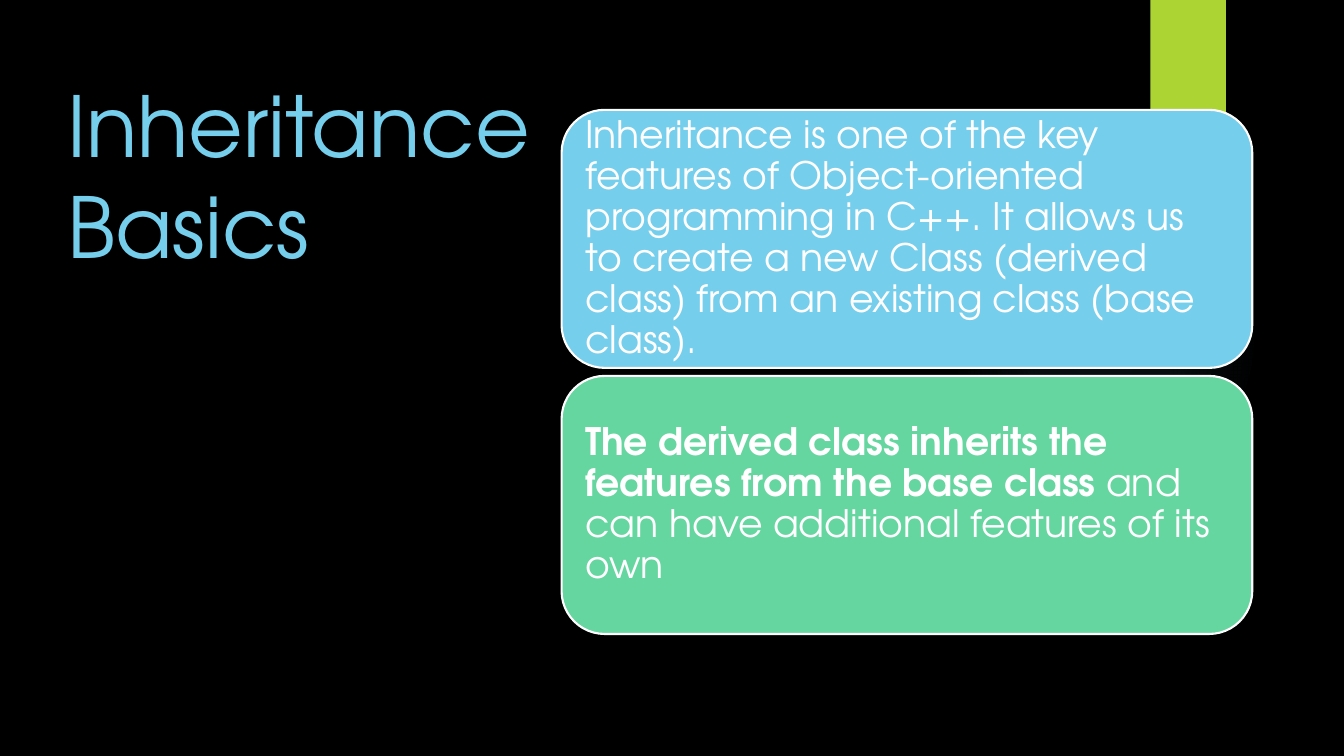
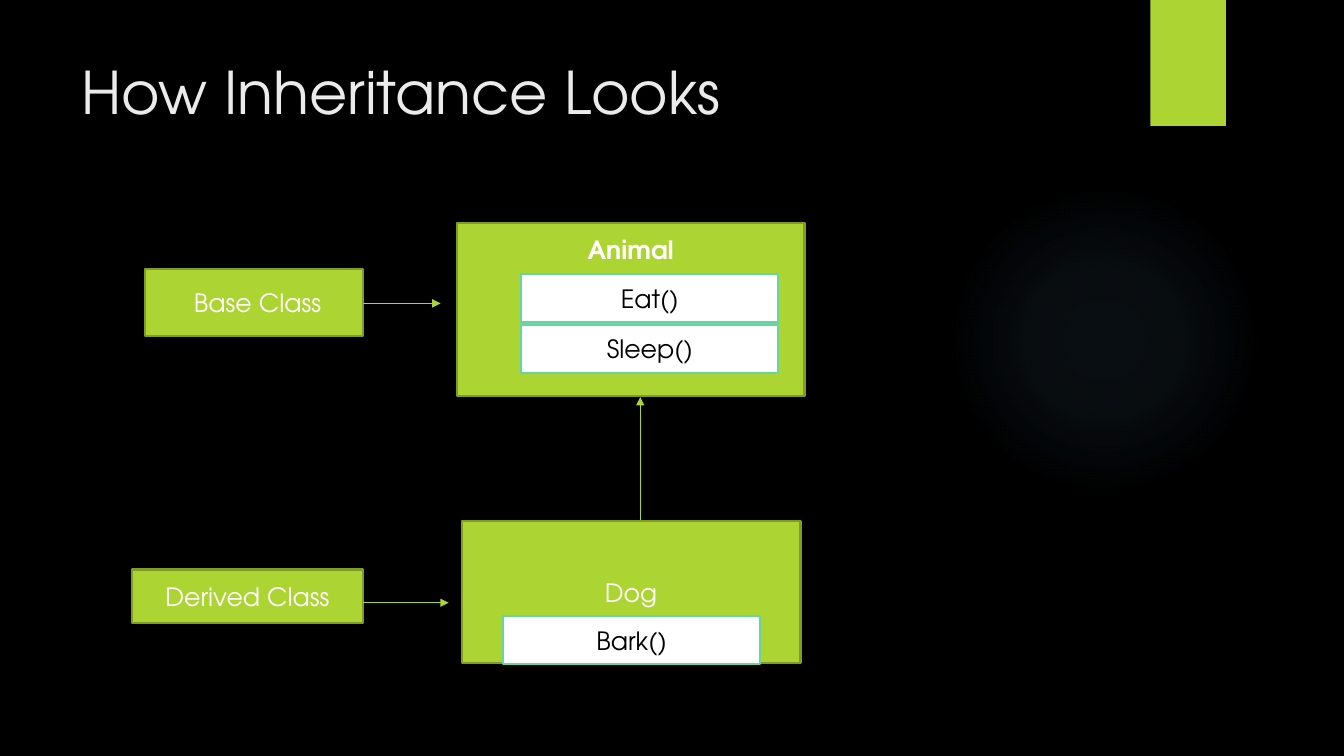
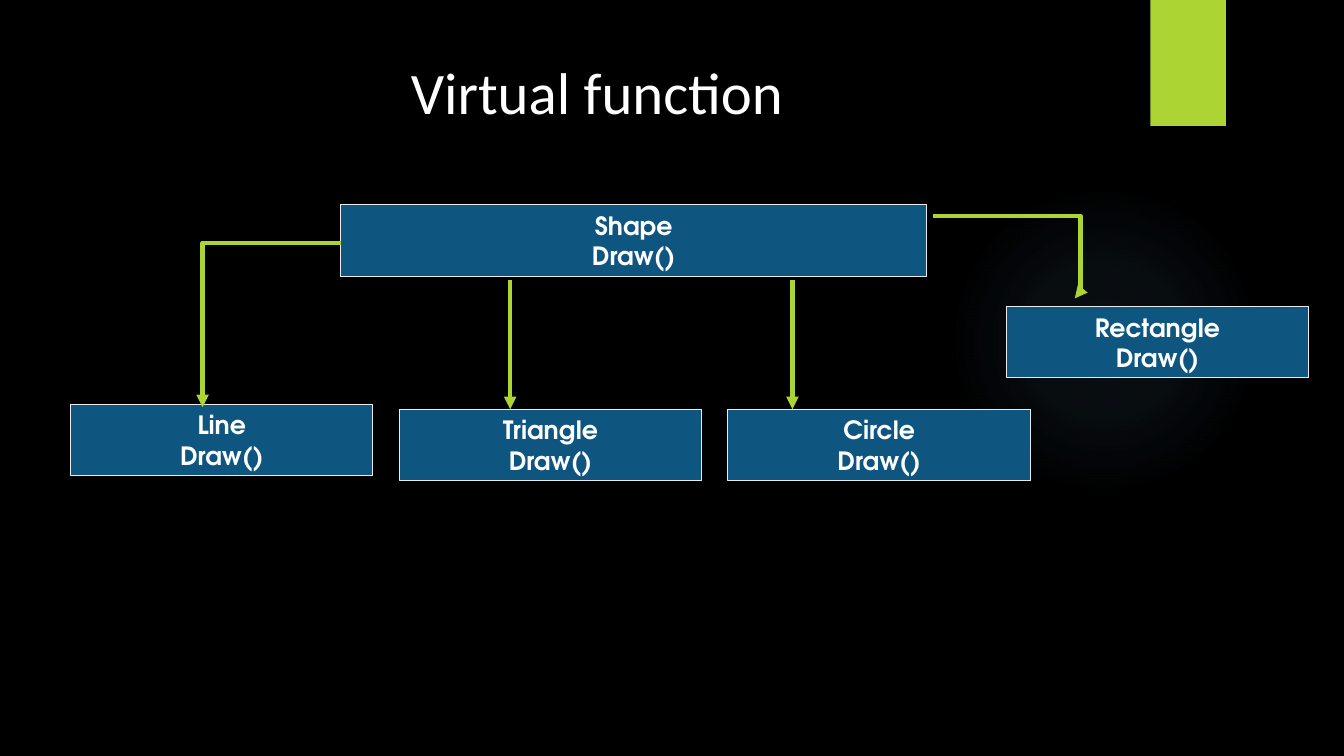
from lxml.etree import SubElement
from pptx import Presentation
from pptx.dml.color import RGBColor
from pptx.enum.shapes import MSO_CONNECTOR, MSO_SHAPE
from pptx.enum.text import MSO_ANCHOR, PP_ALIGN
from pptx.oxml import parse_xml
from pptx.oxml.ns import nsdecls, qn
from pptx.util import Inches, Pt

FONT = "TeX Gyre Adventor"
BLACK, WHITE, SILVER = "000000", "FFFFFF", "EBEBEB"
LIME, OLIVE = "ACD433", "7F9D26"
SKY, MINT, NAVY, GLOW = "75CEEC", "65D6A0", "0E5580", "7AC4F0"


def color(value):
    return RGBColor.from_string(value)


class Deck:
    """Holds the shared style and the current slide."""

    def __init__(self):
        self.presentation = Presentation()
        self.presentation.slide_width = Inches(13.33)
        self.presentation.slide_height = Inches(7.5)
        self.slide = None

    def new_slide(self):
        layout = self.presentation.slide_layouts[6]
        self.slide = self.presentation.slides.add_slide(layout)
        background = self.slide.background.fill
        background.solid()
        background.fore_color.rgb = color(BLACK)
        self.glow(9.41, 1.83, 3.08)
        self.shape(11.41, 0, 0.75, 1.25, LIME)

    def glow(self, left, top, size):
        shape = self.shape(left, top, size, size, GLOW, kind=MSO_SHAPE.OVAL)
        stops = "".join(
            f'<a:gs pos="{position}000"><a:srgbClr val="{GLOW}">'
            f'<a:alpha val="{alpha}000"/></a:srgbClr></a:gs>'
            for position, alpha in ((0, 7), (36, 6), (69, 0)))
        gradient = parse_xml(
            f'<a:gradFill {nsdecls("a")}><a:gsLst>{stops}</a:gsLst>'
            '<a:path path="circle"><a:fillToRect l="50000" t="50000" '
            'r="50000" b="50000"/></a:path></a:gradFill>')
        properties = shape._element.spPr
        properties.replace(properties.find(qn("a:solidFill")), gradient)

    def shape(self, left, top, width, height, fill, line=None, line_width=1.5,
              kind=MSO_SHAPE.RECTANGLE):
        shape = self.slide.shapes.add_shape(
            kind, Inches(left), Inches(top), Inches(width), Inches(height))
        shape.shadow.inherit = False
        shape.fill.solid()
        shape.fill.fore_color.rgb = color(fill)
        if line:
            shape.line.color.rgb = color(line)
            shape.line.width = Pt(line_width)
        else:
            shape.line.fill.background()
        return shape

    def style(self, paragraph, size, text_color, font=FONT,
              align=PP_ALIGN.CENTER):
        paragraph.alignment = align
        paragraph.font.name = font
        paragraph.font.size = Pt(size)
        paragraph.font.color.rgb = color(text_color)

    def title(self, text, left, top, width, height, size, text_color,
              font=FONT, align=PP_ALIGN.LEFT):
        box = self.slide.shapes.add_textbox(
            Inches(left), Inches(top), Inches(width), Inches(height))
        box.text_frame.word_wrap = True
        box.text_frame.text = text
        self.style(box.text_frame.paragraphs[0], size, text_color, font, align)

    def card(self, top, fill, runs):
        """Rounded panel; runs are (text, bold) pairs."""
        shape = self.shape(5.57, top, 6.85, 2.56, fill, WHITE,
                           kind=MSO_SHAPE.ROUNDED_RECTANGLE)
        frame = shape.text_frame
        frame.margin_left = frame.margin_right = Inches(0.11)
        frame.margin_top = frame.margin_bottom = Inches(0.11)
        paragraph = frame.paragraphs[0]
        paragraph.line_spacing = 0.9
        self.style(paragraph, 27, WHITE, align=PP_ALIGN.LEFT)
        for text, bold in runs:
            run = paragraph.add_run()
            run.text = text
            run.font.bold = bold

    def box(self, text, left, top, width, height, fill=LIME, line=OLIVE,
            text_color=WHITE, bold=False, line_width=1.5):
        shape = self.shape(left, top, width, height, fill, line, line_width)
        shape.text_frame.text = text
        for paragraph in shape.text_frame.paragraphs:
            self.style(paragraph, 18, text_color)
            paragraph.font.bold = bold
        return shape

    def method(self, text, left, top):
        self.box(text, left, top, 2.55, 0.48, WHITE, MINT, BLACK)

    def drawable(self, name, left, top, width=3):
        self.box(f"{name}\nDraw()", left, top, width, 0.71, NAVY, SILVER,
                 bold=True, line_width=0.75)

    def arrow(self, start, end, width, kind=MSO_CONNECTOR.STRAIGHT):
        connector = self.slide.shapes.add_connector(
            kind, *(Inches(value) for value in (*start, *end)))
        connector.line.color.rgb = color(LIME)
        connector.line.width = Pt(width)
        properties = connector._element.spPr
        SubElement(properties.find(qn("a:ln")), qn("a:tailEnd"),
                   type="triangle")
        SubElement(properties, qn("a:effectLst"))
        return properties.find(qn("a:prstGeom"))

    def elbow(self, start, end, bend=None):
        """One corner, or two with the bend at a share of the width."""
        geometry = self.arrow(start, end, 3, MSO_CONNECTOR.ELBOW)
        if bend is None:
            geometry.set("prst", "bentConnector2")
        else:
            SubElement(geometry.find(qn("a:avLst")), qn("a:gd"), name="adj1",
                       fmla=f"val {round(bend * 100000)}")


def basics(deck):
    deck.new_slide()
    deck.title("Inheritance Basics", 0.57, 0.68, 5, 6.02, 60, SKY)
    deck.card(1.09, SKY, [(
        "Inheritance is one of the key features of Object-oriented "
        "programming in C++. It allows us to create a new Class (derived "
        "class) from an existing class (base class).", False)])
    deck.card(3.73, MINT, [
        ("The derived class inherits the features from the base class", True),
        (" and can have additional features of its own", False)])


def looks(deck):
    deck.new_slide()
    deck.title("How Inheritance Looks", 0.71, 0.5, 10.29, 1.53, 42, SILVER)
    # Base class
    animal = deck.box("Animal", 4.53, 2.21, 3.45, 1.72, bold=True)
    animal.text_frame.vertical_anchor = MSO_ANCHOR.TOP
    animal.text_frame.margin_top = Inches(0.11)
    for row, name in enumerate(("Eat()", "Sleep()")):
        deck.method(name, 5.17, 2.72 + row * 0.5)
    deck.box(" Base Class", 1.44, 2.67, 2.16, 0.66)
    deck.arrow((3.6, 3.01), (4.37, 3.01), 0.75)
    # Derived class
    deck.box("Dog", 4.58, 5.17, 3.36, 1.41)
    deck.method("Bark()", 4.99, 6.11)
    deck.box("Derived Class", 1.31, 5.65, 2.29, 0.53)
    deck.arrow((3.6, 5.98), (4.45, 5.98), 0.75)
    deck.arrow((6.35, 5.16), (6.35, 3.94), 0.75)


def virtual_function(deck):
    deck.new_slide()
    deck.title(" Virtual function", 0.71, 0.5, 10.29, 1.53, 42, WHITE,
               "Calibri", PP_ALIGN.CENTER)
    # Classes
    deck.drawable("Shape", 3.38, 2.03, 5.81)
    for name, left, top in (("Line", 0.7, 4.01), ("Triangle", 3.96, 4.06),
                            ("Circle", 7.22, 4.06), ("Rectangle", 9.98, 3.04)):
        deck.drawable(name, left, top)
    # Arrows from the base class
    deck.elbow((3.38, 2.41), (2.01, 4.04))
    for x in (5.06, 7.86):
        deck.arrow((x, 2.78), (x, 4.06), 3)
    deck.elbow((9.25, 2.14), (10.66, 2.96), bend=1.04)


def main():
    deck = Deck()
    for build in (basics, looks, virtual_function):
        build(deck)
    deck.presentation.save("out.pptx")


if __name__ == "__main__":
    main()
